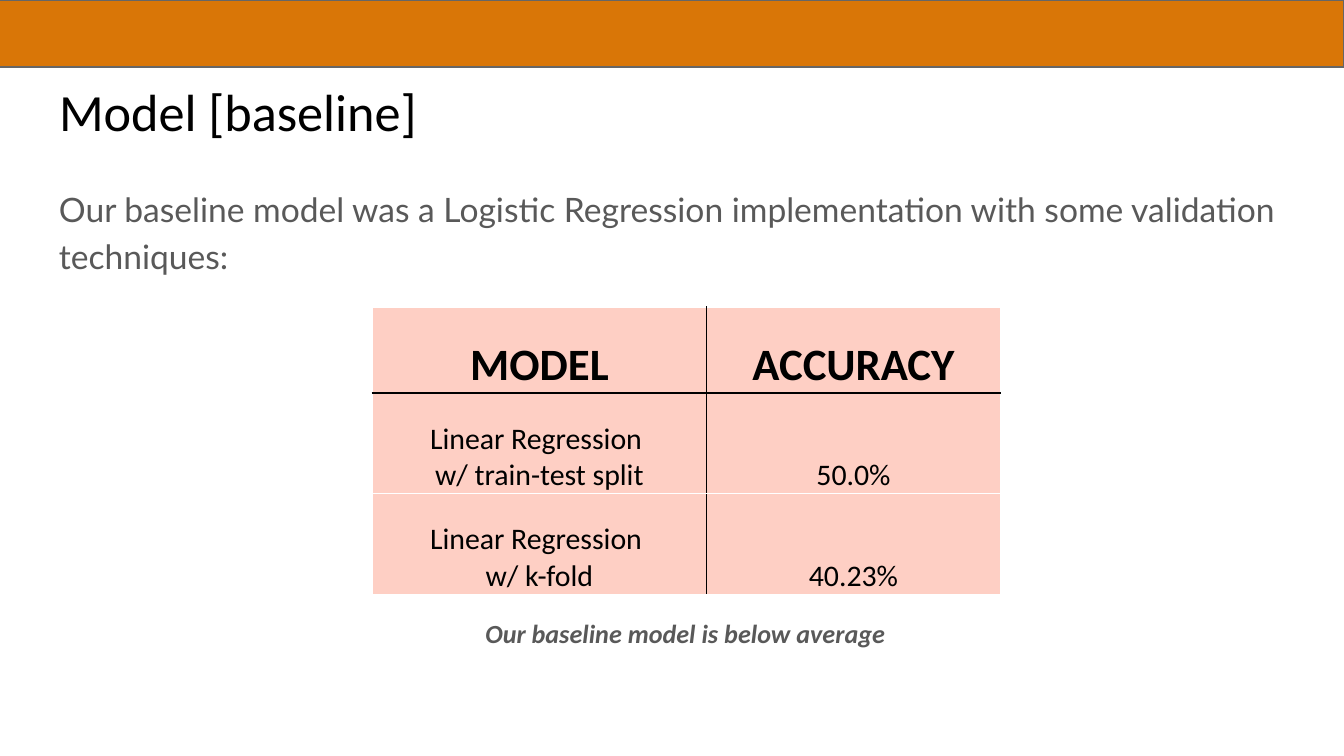
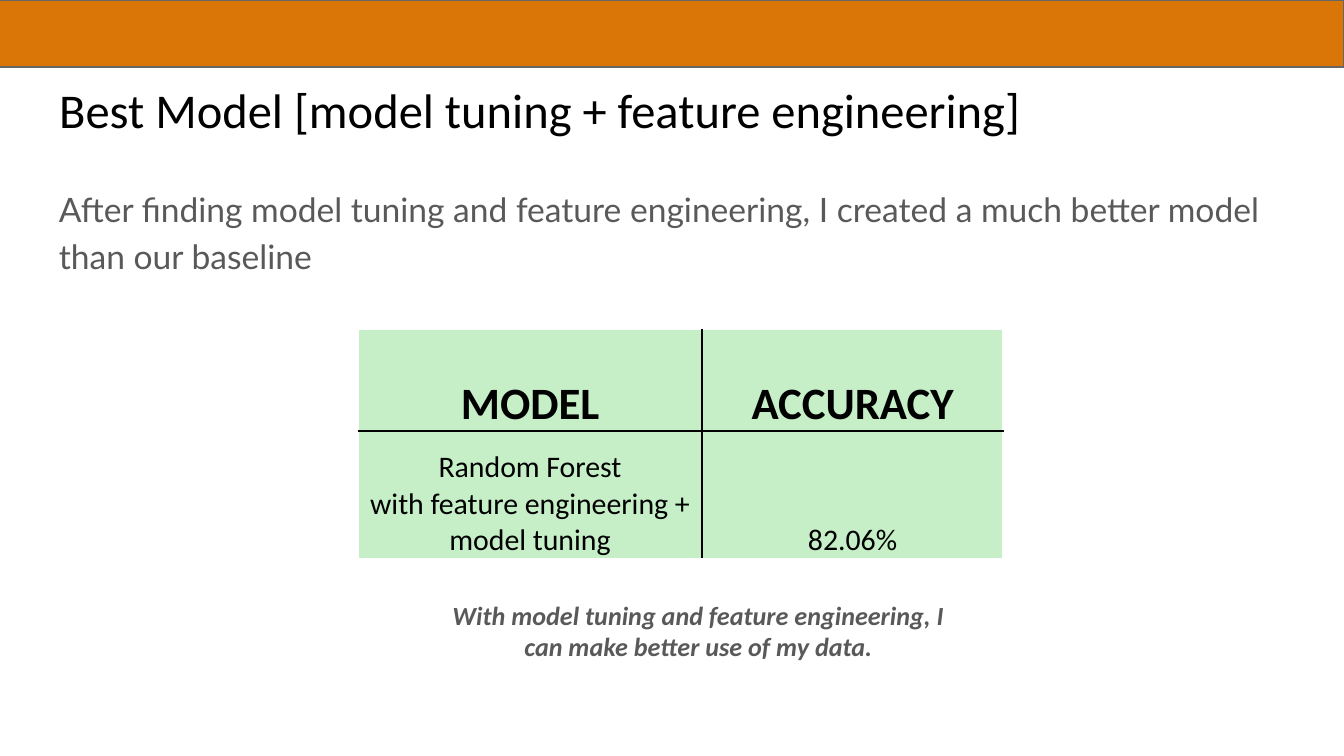
from lxml import etree
from pptx import Presentation
from pptx.dml.color import RGBColor
from pptx.enum.shapes import MSO_SHAPE
from pptx.enum.text import MSO_ANCHOR, MSO_AUTO_SIZE, PP_ALIGN
from pptx.oxml.ns import qn
from pptx.util import Pt

LEFT, CENTER = PP_ALIGN.LEFT, PP_ALIGN.CENTER
TOP, BOTTOM = MSO_ANCHOR.TOP, MSO_ANCHOR.BOTTOM
NO_FIT, GROW = MSO_AUTO_SIZE.NONE, MSO_AUTO_SIZE.SHAPE_TO_FIT_TEXT

BLACK = RGBColor(0x00, 0x00, 0x00)
WHITE = RGBColor(0xFF, 0xFF, 0xFF)
GREY = RGBColor(0x59, 0x59, 0x59)
ORANGE = RGBColor(0xD9, 0x76, 0x07)
BAND_EDGE = RGBColor(0x66, 0x66, 0x66)
PINK = RGBColor(0xFE, 0xCF, 0xC4)
GREEN = RGBColor(0xC6, 0xEF, 0xC8)

HEADING_FONT, BODY_FONT = "Calibri", "Lato"
BAND_BOX = (-0.5, 0, 720.5, 36)
TITLE_BOX = (24.5, 35.5, 671, 45)
INTRO_BOX = (24.5, 91, 671, 269)
HEADER = (["MODEL"], ["ACCURACY"])

# Each table cell is a list of paragraphs.
SLIDES = [
    {
        "title": "Model [baseline]",
        "title_size": 28,
        "intro": "Our baseline model was a Logistic Regression implementation "
                 "with some validation techniques:",
        "results": [
            (["Linear Regression ", "w/ train-test split"], ["50.0%"]),
            (["Linear Regression ", "w/ k-fold"], ["40.23%"]),
        ],
        "tint": PINK,
        "table_at": (199.5, 164.5),
        "columns": (179, 157.5),
        "rows": (46, 54, 54),
        "caption": "Our baseline model is below average",
        "caption_box": (240.5, 327, 253.5, 24.5),
    },
    {
        "title": "Best Model [model tuning + feature engineering]",
        "title_size": 26,
        "intro": "After finding model tuning and feature engineering, "
                 "I created a much better model than our baseline",
        "results": [
            (["Random Forest", "with feature engineering + model tuning"],
             ["82.06%"]),
        ],
        "tint": GREEN,
        "table_at": (192, 176.5),
        "columns": (184, 161.5),
        "rows": (54.5, 68.5),
        "caption": "With model tuning and feature engineering, "
                   "I can make better use of my data.",
        "caption_box": (233.5, 317.5, 281.5, 41),
    },
]


def points(values):
    return [Pt(value) for value in values]


def write(paragraph, text, size, color, font=HEADING_FONT, align=CENTER,
          bold=False, italic=False):
    paragraph.alignment = align
    run = paragraph.add_run()
    run.text = text
    run.font.name = font
    run.font.size = Pt(size)
    run.font.bold = bold
    run.font.italic = italic
    run.font.color.rgb = color


def set_frame(frame, inset_x, inset_y, fit):
    frame.word_wrap = True
    frame.auto_size = fit
    frame.vertical_anchor = TOP
    frame.margin_left = frame.margin_right = Pt(inset_x)
    frame.margin_top = frame.margin_bottom = Pt(inset_y)
    return frame.paragraphs[0]


def add_intro(slide, text):
    intro = slide.shapes.add_textbox(*points(INTRO_BOX))
    paragraph = set_frame(intro.text_frame, 7.2, 7.2, NO_FIT)
    paragraph.line_spacing = 1.15
    write(paragraph, text, 18, GREY, font=BODY_FONT, align=LEFT)


def set_title(slide, text, size):
    title = slide.shapes.title
    title.left, title.top, title.width, title.height = points(TITLE_BOX)
    paragraph = set_frame(title.text_frame, 7.2, 7.2, NO_FIT)
    write(paragraph, text, size, BLACK, align=LEFT)


def add_band(slide):
    band = slide.shapes.add_shape(MSO_SHAPE.RECTANGLE, *points(BAND_BOX))
    band.shadow.inherit = False
    band.fill.solid()
    band.fill.fore_color.rgb = ORANGE
    band.line.color.rgb = BAND_EDGE
    band.line.width = Pt(0.75)


def set_borders(cell, colors):
    """Draw 1 pt borders; colors are for left, right, top and bottom."""
    properties = cell._tc.get_or_add_tcPr()
    for side, color in zip("LRTB", colors):
        line = etree.SubElement(properties, qn(f"a:ln{side}"), w=str(Pt(1)))
        fill = etree.SubElement(line, qn("a:solidFill"))
        etree.SubElement(fill, qn("a:srgbClr"), val=str(color))


def add_results(slide, content):
    widths, heights = content["columns"], content["rows"]
    box = (*content["table_at"], sum(widths), sum(heights))
    results = slide.shapes.add_table(len(heights), len(widths), *points(box)).table
    for column, width in zip(results.columns, widths):
        column.width = Pt(width)
    for row, height in zip(results.rows, heights):
        row.height = Pt(height)

    for r, texts in enumerate([HEADER, *content["results"]]):
        is_header = r == 0
        for c, lines in enumerate(texts):
            cell = results.cell(r, c)
            # Black rules divide the columns and underline the header.
            set_borders(cell, (
                BLACK if c > 0 else WHITE,
                BLACK if c < len(widths) - 1 else WHITE,
                BLACK if r == 1 else WHITE,
                BLACK if is_header else WHITE,
            ))
            cell.fill.solid()
            cell.fill.fore_color.rgb = content["tint"]
            cell.vertical_anchor = BOTTOM
            cell.margin_left = cell.margin_right = cell.margin_top = Pt(0.75)
            cell.margin_bottom = Pt(0)
            frame = cell.text_frame
            for i, line in enumerate(lines):
                paragraph = frame.add_paragraph() if i else frame.paragraphs[0]
                write(paragraph, line, 24 if is_header else 16, BLACK,
                      bold=is_header)


def add_caption(slide, text, box):
    caption = slide.shapes.add_textbox(*points(box))
    paragraph = set_frame(caption.text_frame, 7.2, 3.6, GROW)
    write(paragraph, text, 14, GREY, bold=True, italic=True)


def main():
    deck = Presentation()
    deck.slide_width, deck.slide_height = Pt(720), Pt(405)
    title_only = deck.slide_layouts[5]
    for content in SLIDES:
        slide = deck.slides.add_slide(title_only)
        set_title(slide, content["title"], content["title_size"])
        add_intro(slide, content["intro"])
        add_band(slide)
        add_results(slide, content)
        add_caption(slide, content["caption"], content["caption_box"])
    deck.save("out.pptx")


if __name__ == "__main__":
    main()
